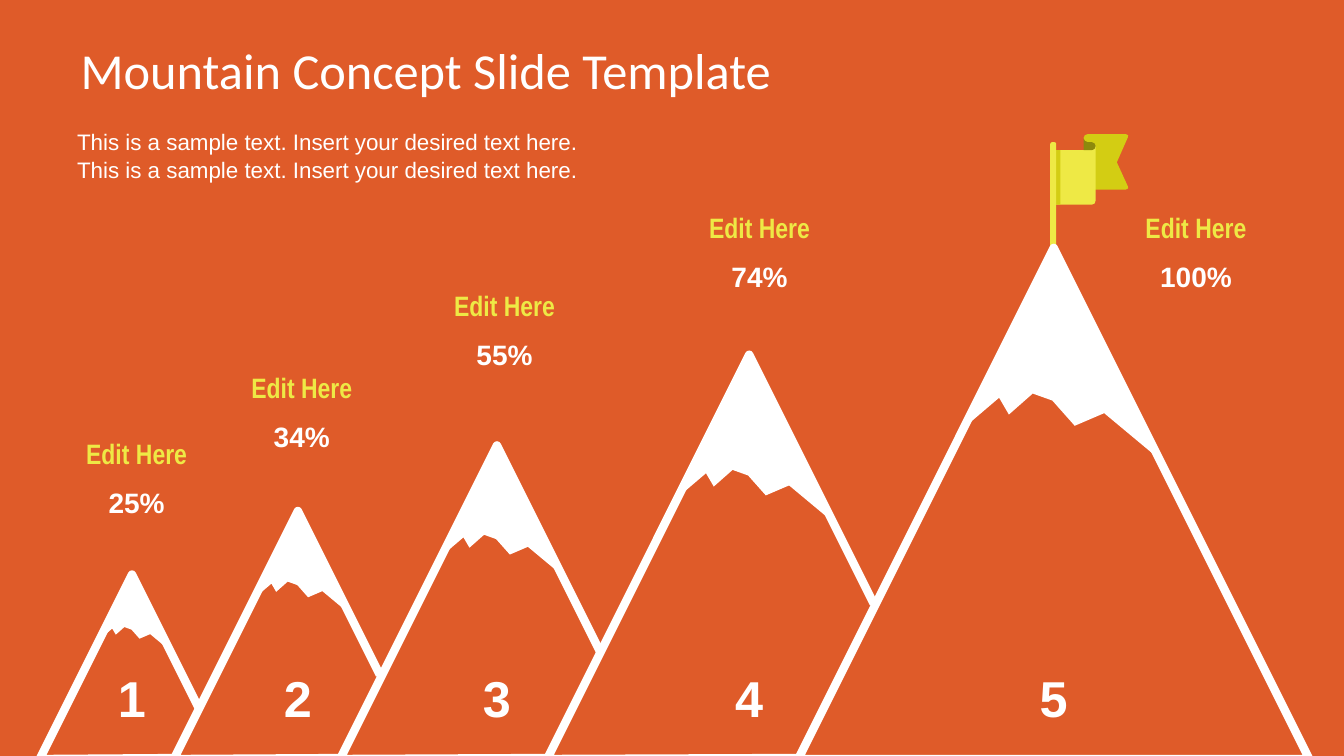
"""Build a slide of five growing mountains with a flag on the highest one."""
import lxml.etree
import pptx
import pptx.dml.color
import pptx.enum.shapes
import pptx.enum.text
import pptx.oxml.ns
import pptx.util

Pt = pptx.util.Pt
MSO_SHAPE = pptx.enum.shapes.MSO_SHAPE
PP_ALIGN = pptx.enum.text.PP_ALIGN
MSO_ANCHOR = pptx.enum.text.MSO_ANCHOR

ORANGE, WHITE, YELLOW, OLIVE, DARK_OLIVE = "DF5B29", "FFFFFF", "EEE945", "D3CD13", "8D890D"
TITLE = "Mountain Concept Slide Template"
INTRO = " ".join(["This is a sample text. Insert your desired text here."] * 2)
LABEL = "Edit Here"
BASE_Y = 542.2

MOUNTAINS = [
    {"peak": (94.3, 410.4), "right_y": 507, "base_end": 126.7, "label": (97.6, 308.2), "value": "25%"},
    {"peak": (212.8, 365), "right_y": 482, "base_end": 244.8, "label": (215.6, 260.6), "value": "34%"},
    {"peak": (355, 318.2), "right_y": 466, "base_end": 392.4, "label": (360.4, 202.3), "value": "55%"},
    {"peak": (535.2, 253.4), "right_y": 431.2, "base_end": 570.2, "label": (542.5, 146.2), "value": "74%"},
    {"peak": (752.7, 177.1), "right_y": None, "base_end": None, "label": (854.3, 146.2), "value": "100%"},
]
CAP_HEIGHT = 365
SNOW_CAP = [(-66, 130), (-39, 107), (-32, 119), (-15, 104), (-1, 109),
            (15, 127), (36, 118), (72, 148), (1, 4)]

FLAG_TAIL = [(797.8, 115.9), (805.7, 98), (805.8, 96.6), (804.2, 95.8), (776.9, 95.8),
             (774.9, 96.6), (774, 98.7), (774.9, 100.7), (776.9, 101.5), (776.9, 135.4),
             (804.2, 135.4), (805.8, 134.6), (805.7, 133.2)]
FLAG_FRONT = [(779.8, 146.2), (753.1, 146.2), (753.1, 107.3), (779.8, 107.3), (779.8, 104.4),
              (782.6, 104.4), (782.6, 143.3), (781.8, 145.4)]
FLAG_FOLD = [(774, 98.7), (774.9, 100.7), (776.9, 101.5), (779.8, 101.5), (781.8, 102.4),
             (782.6, 104.4), (781.8, 106.5), (779.8, 107.3), (774, 107.3)]

prs = pptx.Presentation()
prs.slide_width, prs.slide_height = Pt(960), Pt(540)
s = prs.slides.add_slide(prs.slide_layouts[6])


def rgb(color):
    return pptx.dml.color.RGBColor.from_string(color)


def style(sp, fill=None, line=None):
    sp.shadow.inherit = False
    if fill:
        sp.fill.solid()
        sp.fill.fore_color.rgb = rgb(fill)
    else:
        sp.fill.background()
    if line:
        sp.line.color.rgb = rgb(line)
        sp.line.width = Pt(6)
        ln = sp.line._get_or_add_ln()
        lxml.etree.SubElement(ln, pptx.oxml.ns.qn("a:round"))
    else:
        sp.line.fill.background()


def outline(points, fill=None, line=None):
    corners = [(Pt(x), Pt(y)) for x, y in points]
    fb = s.shapes.build_freeform(*corners[0], scale=1)
    fb.add_line_segments(corners[1:], close=fill is not None)
    style(fb.convert_to_shape(), fill, line)


def box(kind, left, top, width, height, fill=None, line=None):
    sp = s.shapes.add_shape(kind, Pt(left), Pt(top), Pt(width), Pt(height))
    style(sp, fill, line)
    return sp


def text(words, left, top, width, height, size, color=WHITE, font="Arial", bold=False,
         align=PP_ALIGN.LEFT, anchor=MSO_ANCHOR.TOP, wrap=True):
    sp = s.shapes.add_textbox(Pt(left), Pt(top), Pt(width), Pt(height))
    tf = sp.text_frame
    tf.word_wrap, tf.vertical_anchor = wrap, anchor
    tf.text = words
    p = tf.paragraphs[0]
    p.alignment = align
    f = p.runs[0].font
    f.name, f.size, f.bold, f.color.rgb = font, Pt(size), bold, rgb(color)
    return sp


def centred(words, x, top, width, height, size, **kw):
    text(words, x - width / 2, top, width, height, size, bold=True, align=PP_ALIGN.CENTER, **kw)


s.background.fill.solid()
s.background.fill.fore_color.rgb = rgb(ORANGE)

tf = text(TITLE, 48, 21.6, 864, 56, 36, font="Calibri", anchor=MSO_ANCHOR.MIDDLE).text_frame
tf.margin_left = tf.margin_right = Pt(9.6)
intro = text(INTRO, 48, 87, 372, 65.5, 16)
intro.text_frame.paragraphs[0].line_spacing = 1.05

outline(FLAG_TAIL, OLIVE)
outline(FLAG_FRONT, YELLOW)
outline(FLAG_FOLD, DARK_OLIVE)
box(MSO_SHAPE.RECTANGLE, 753.1, 107.3, 4.3, 39, OLIVE)
pole = box(MSO_SHAPE.ROUNDED_RECTANGLE, 750.2, 101.5, 4.3, 75.6, YELLOW)
pole.adjustments[0] = 0.35

for number, m in enumerate(MOUNTAINS, 1):
    x, y = m["peak"]
    height = BASE_Y - y
    left = x - height / 2
    if m["base_end"]:
        right = (x + (m["right_y"] - y) / 2, m["right_y"])
        outline([(m["base_end"], BASE_Y - 0.7), (left, BASE_Y), (x, y), right], line=WHITE)
    else:
        box(MSO_SHAPE.ISOSCELES_TRIANGLE, left, y, height, height, line=WHITE)
    ratio = height / CAP_HEIGHT
    outline([(x + dx * ratio, y + dy * ratio) for dx, dy in SNOW_CAP], WHITE)
    centred(str(number), x, 473, 42, 62, 36, wrap=False)

    label_x, label_y = m["label"]
    centred(LABEL, label_x, label_y, 90, 31.7, 20, color=YELLOW, font="Arial Narrow",
            anchor=MSO_ANCHOR.MIDDLE, wrap=False)
    centred(m["value"], label_x, label_y + 35, 114.5, 31.7, 20, anchor=MSO_ANCHOR.MIDDLE)

prs.save("out.pptx")
